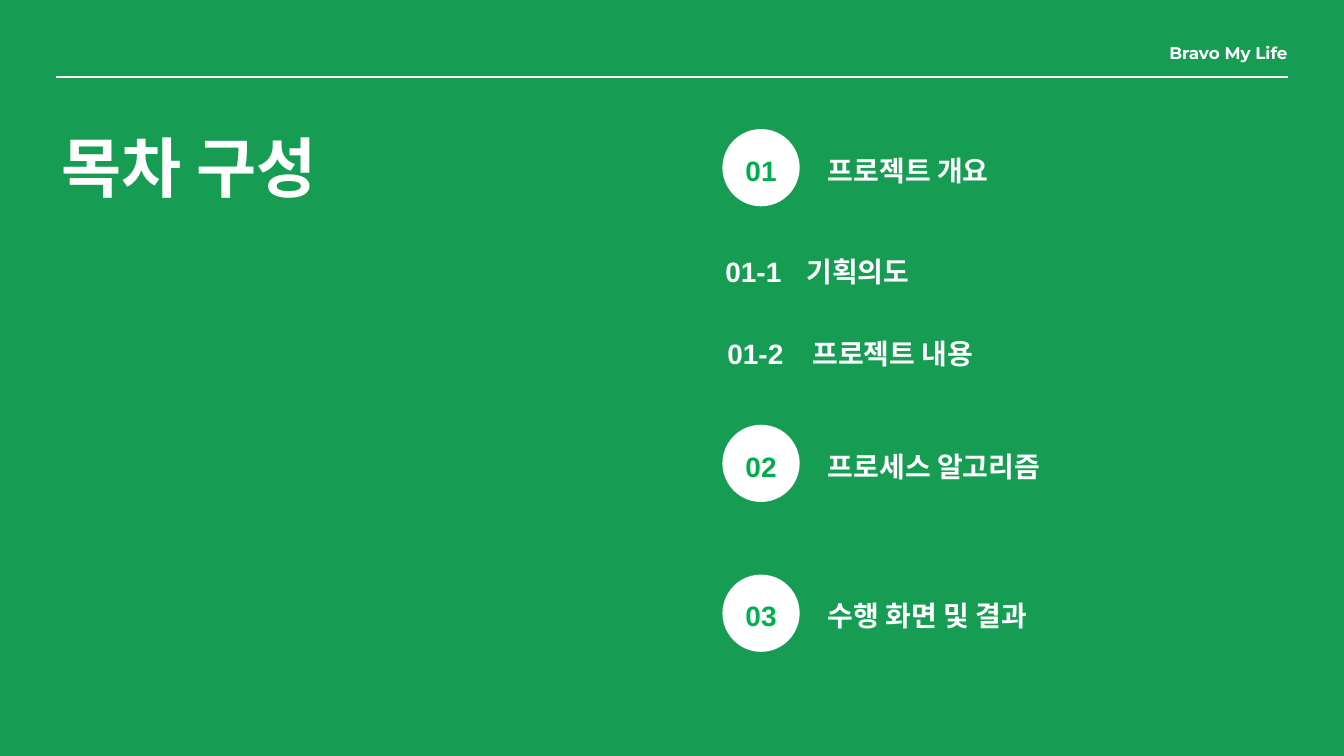
from lxml.etree import SubElement
from pptx import Presentation
from pptx.dml.color import RGBColor
from pptx.enum.shapes import MSO_CONNECTOR, MSO_SHAPE
from pptx.enum.text import MSO_ANCHOR, MSO_AUTO_SIZE, PP_ALIGN
from pptx.oxml.ns import qn
from pptx.util import Pt

PX = 9144  # 100 px to the inch
COLORS = {"background": "169D53", "white": "FFFFFF",
          "number": "00AC4E", "last_number": "00B050"}
CIRCLE = 115
LEFT = 1075


def emu(*lengths):
    return [length * PX for length in lengths]


def color(name):
    return RGBColor.from_string(COLORS[name])


class Agenda:
    """Holds the deck's style and the current slide."""

    font = "Arial"
    item_size = 30
    leading = 1.4

    def __init__(self, deck):
        self.slide = deck.slides.add_slide(deck.slide_layouts[5])
        self.slide.background.fill.solid()
        self.slide.background.fill.fore_color.rgb = color("background")

    def fill_frame(self, frame, text, size, align, ink="white", font=None):
        frame.margin_left = frame.margin_right = 0
        frame.margin_top = frame.margin_bottom = 0
        frame.word_wrap = True
        frame.auto_size = MSO_AUTO_SIZE.NONE
        frame.vertical_anchor = MSO_ANCHOR.TOP
        paragraph = frame.paragraphs[0]
        paragraph.alignment = align
        paragraph.line_spacing = Pt(size * self.leading)
        run = paragraph.add_run()
        run.text = text
        run.font.name = font or self.font
        run.font.size = Pt(size)
        run.font.bold = True
        run.font.color.rgb = color(ink)

    def title(self, text, box):
        heading = self.slide.shapes.title
        heading.left, heading.top, heading.width, heading.height = emu(*box)
        self.fill_frame(heading.text_frame, text, 70, PP_ALIGN.CENTER)

    def rule(self, x1, x2, y):
        line = self.slide.shapes.add_connector(
            MSO_CONNECTOR.STRAIGHT, *emu(x1, y, x2, y))
        line.line.color.rgb = color("white")
        line.line.width = Pt(2.25)
        SubElement(line._element.spPr, qn("a:effectLst"))

    def text(self, text, box, size=item_size, align=PP_ALIGN.LEFT,
             shapes=None, **style):
        holder = (shapes or self.slide.shapes).add_textbox(*emu(*box))
        self.fill_frame(holder.text_frame, text, size, align, **style)

    def chapter(self, number, label, top, label_width, ink="number"):
        """A numbered circle with its heading."""
        shapes = self.slide.shapes.add_group_shape().shapes
        circle = shapes.add_shape(MSO_SHAPE.OVAL, *emu(LEFT, top, CIRCLE, CIRCLE))
        circle.shadow.inherit = False
        circle.fill.solid()
        circle.fill.fore_color.rgb = color("white")
        circle.line.fill.background()
        self.text(number, (LEFT, top + 28, CIRCLE, 54),
                  align=PP_ALIGN.CENTER, shapes=shapes, ink=ink)
        self.text(label, (1232, top + 28, label_width, 54), shapes=shapes)

    def section(self, number, label, top, number_width, label_left, label_width):
        """A sub-entry without a circle."""
        shapes = self.slide.shapes.add_group_shape().shapes
        self.text(number, (LEFT, top, number_width, 54),
                  align=PP_ALIGN.CENTER, shapes=shapes)
        self.text(label, (label_left, top, label_width, 48), shapes=shapes)


def main():
    deck = Presentation()
    deck.slide_width, deck.slide_height = emu(2000, 1125)
    agenda = Agenda(deck)
    agenda.rule(83, 1917, 115)
    agenda.text("Bravo My Life", (1682, 59, 234, 33), size=18,
                align=PP_ALIGN.RIGHT, font="Montserrat")
    agenda.title("목차 구성", (-25, 170, 614, 125))
    agenda.chapter("01", "프로젝트 개요", 192, 568)
    agenda.section("01-1", "기획의도", 370, 92, 1200, 450)
    agenda.section("01-2", "프로젝트 내용", 493, 98, 1209, 484)
    agenda.chapter("02", "프로세스 알고리즘", 632, 445)
    agenda.chapter("03", "수행 화면 및 결과", 855, 726, ink="last_number")
    deck.save("out.pptx")


if __name__ == "__main__":
    main()
